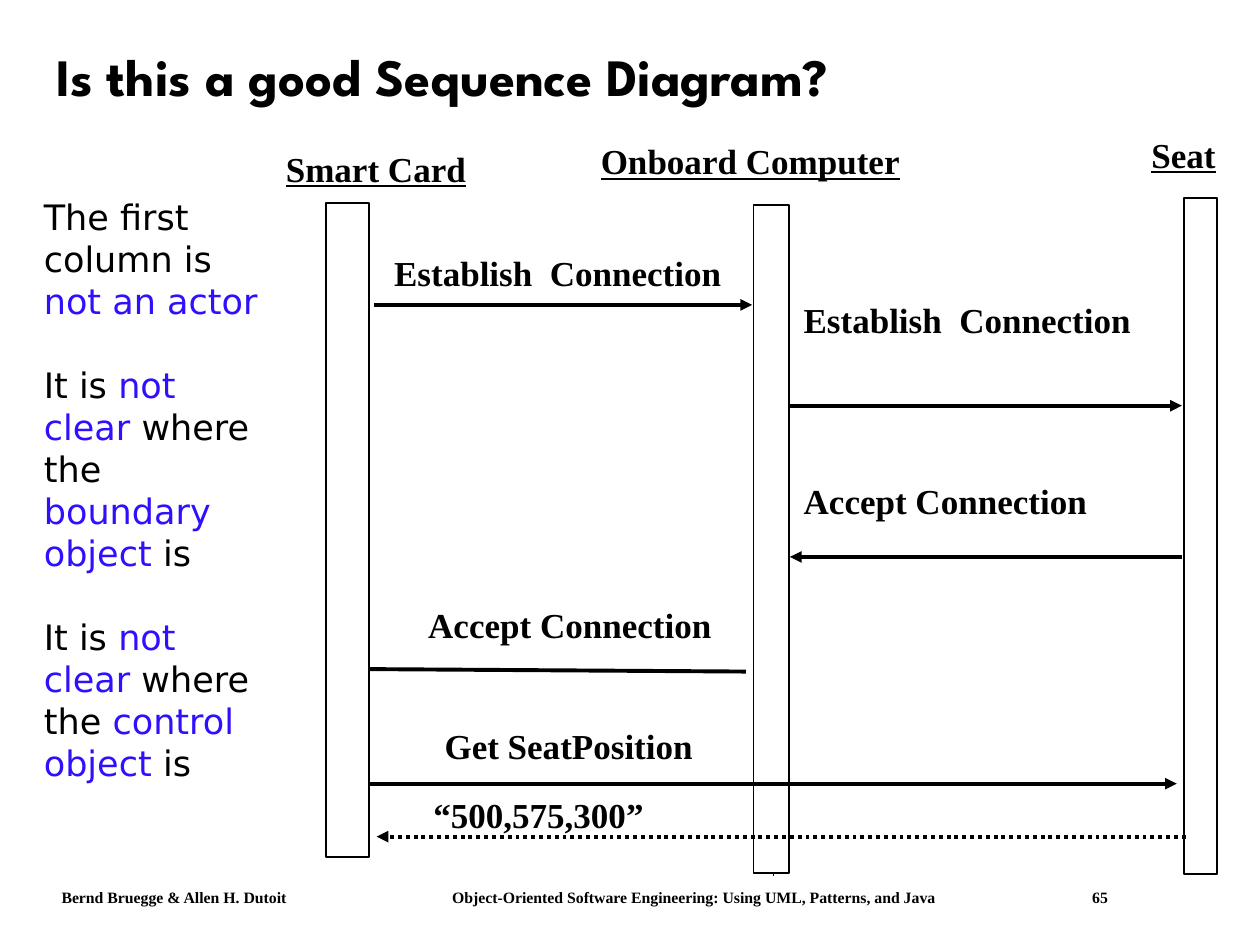
"""Build a slide that questions a sequence diagram of a smart card, a computer and a seat."""
from lxml import etree
from pptx import Presentation
from pptx.dml.color import RGBColor
from pptx.enum import dml, shapes, text
from pptx.oxml import ns
from pptx.util import Inches, Pt

BLACK = RGBColor(0x00, 0x00, 0x00)
WHITE = RGBColor(0xFF, 0xFF, 0xFF)
BLUE = RGBColor(0x2E, 0x10, 0xFF)
SERIF, SANS, DISPLAY = "Times New Roman", "DejaVu Sans", "League Spartan"

TITLE = "Is this a good Sequence Diagram?"
FOOTER = ["Bernd Bruegge & Allen H. Dutoit",
          "Object-Oriented Software Engineering: Using UML, Patterns, and Java", "65"]
FOOTER_TABS = [3.1, 8.18]

# Each remark is a list of (words, colour).
REMARKS = [
    [("The first column is ", BLACK), ("not an actor", BLUE)],
    [("It is ", BLACK), ("not clear ", BLUE), ("where the", BLACK),
     (" boundary object", BLUE), (" is", BLACK)],
    [("It is ", BLACK), ("not clear", BLUE), (" where the ", BLACK),
     ("control object", BLUE), (" is", BLACK)],
]

# Bars: left, top, width, height.
CARD_BAR = (2.59, 1.61, 0.34, 5.19)
COMPUTER_BAR = (5.98, 1.63, 0.28, 5.3)
SEAT_BAR = (9.4, 1.57, 0.26, 5.37)

# Labels: words, left, top, width, wrap.
HEADINGS = [("Smart Card", 2.17, 1.12, 1.63, False),
            ("Onboard Computer", 4.67, 1.06, 2.83, True),
            ("Seat", 9.04, 1.01, 0.71, False)]
MESSAGES = [("Establish  Connection", 3.03, 1.95, 2.8, False),
            ("Establish  Connection", 6.28, 2.32, 2.8, False),
            ("Accept Connection", 6.28, 3.76, 2.45, False),
            ("Accept Connection", 3.3, 4.74, 2.45, False),
            ("Get SeatPosition", 3.43, 5.7, 2.62, True),
            ("“500,575,300”", 3.34, 6.25, 2.62, True)]

# Arrows run from sender to receiver: x1, y1, x2, y2, dash.
ARROWS = [(6.25, 3.22, 9.38, 3.22, None),
          (9.38, 4.42, 6.27, 4.42, None),
          (5.92, 5.33, 2.83, 5.31, None),
          (2.92, 6.22, 9.34, 6.22, None),
          (9.41, 6.64, 2.99, 6.64, dml.MSO_LINE.ROUND_DOT)]
FIRST_ARROW = (2.97, 2.42, 5.97, 2.42, None)


def style(font, name, size, bold=False, color=BLACK, underline=None):
    font.name, font.size, font.bold = name, Pt(size), bold
    font.color.rgb, font.underline = color, underline


def add_text(s, words, left, top, width, height, wrap=True):
    tf = s.shapes.add_textbox(*map(Inches, (left, top, width, height))).text_frame
    tf.word_wrap = wrap
    tf.text = words
    return tf


def add_label(s, words, left, top, width, wrap, underline=None):
    tf = add_text(s, words, left, top, width, 0.43, wrap)
    style(tf.paragraphs[0].runs[0].font, SERIF, 20, True, underline=underline)


def add_bar(s, box):
    sp = s.shapes.add_shape(shapes.MSO_SHAPE.RECTANGLE, *map(Inches, box))
    sp.shadow.inherit = False
    sp.fill.solid()
    sp.fill.fore_color.rgb = WHITE
    sp.line.color.rgb, sp.line.width = BLACK, Pt(1)


def add_line(s, x1, y1, x2, y2, dash=None, width=2.25, arrow=True):
    c = s.shapes.add_connector(shapes.MSO_CONNECTOR.STRAIGHT,
                               *map(Inches, (x1, y1, x2, y2)))
    c.line.color.rgb, c.line.width = BLACK, Pt(width)
    if dash:
        c.line.dash_style = dash
    if arrow:
        etree.SubElement(c.line._get_or_add_ln(), ns.qn("a:tailEnd"), type="triangle")
    etree.SubElement(c._element.spPr, ns.qn("a:effectLst"))


def add_footer(s):
    p = add_text(s, "\t".join(FOOTER), 0.39, 7, 9.17, 0.25).paragraphs[0]
    tabs = etree.SubElement(p._p.get_or_add_pPr(), ns.qn("a:tabLst"))
    for pos in FOOTER_TABS:
        etree.SubElement(tabs, ns.qn("a:tab"), pos=str(Inches(pos)), algn="l")
    for r in p.runs:
        style(r.font, SERIF, 9, True)


def add_title(s):
    tf = add_text(s, TITLE, 0.35, 0.16, 8.92, 0.94)
    tf.vertical_anchor = text.MSO_ANCHOR.MIDDLE
    p = tf.paragraphs[0]
    p.line_spacing = 0.9
    style(p.runs[0].font, DISPLAY, 30, True)


def add_remarks(s):
    tf = add_text(s, "", 0.25, 1.5, 2, 4.53)
    for i, remark in enumerate(REMARKS):
        p = tf.add_paragraph() if i else tf.paragraphs[0]
        if i:
            p.space_before = Pt(24)
        for words, color in remark:
            r = p.add_run()
            r.text = words
            style(r.font, SANS, 20, color=color)


def main():
    prs = Presentation()
    prs.slide_width, prs.slide_height = Inches(10), Inches(7.5)
    s = prs.slides.add_slide(prs.slide_layouts[6])
    add_footer(s)
    add_title(s)
    add_line(s, 6.14, 1.67, 6.14, 6.95, width=1, arrow=False)
    add_bar(s, COMPUTER_BAR)
    add_bar(s, SEAT_BAR)
    for heading in HEADINGS:
        add_label(s, *heading, underline=True)
    for arrow in ARROWS:
        add_line(s, *arrow)
    for message in MESSAGES:
        add_label(s, *message)
    add_bar(s, CARD_BAR)
    add_line(s, *FIRST_ARROW)
    add_remarks(s)
    prs.save("out.pptx")


if __name__ == "__main__":
    main()
